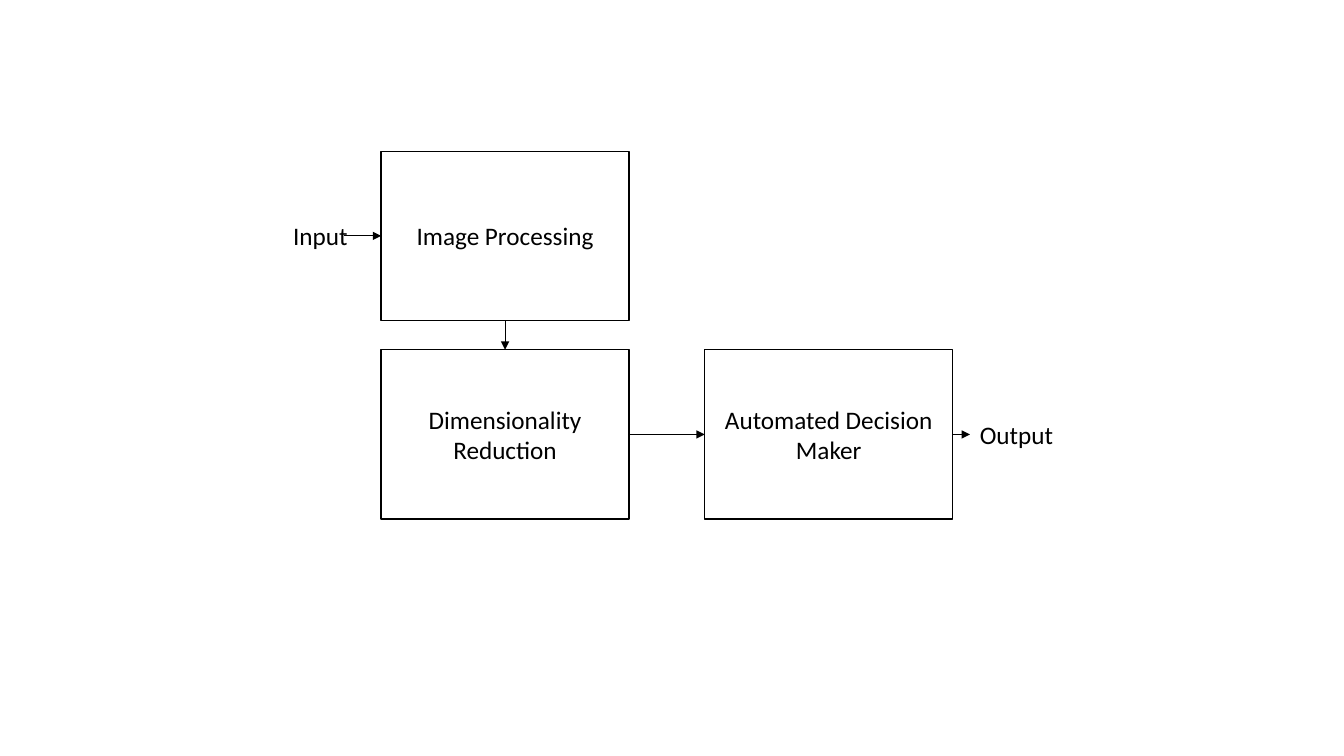
import pptx
import pptx.util
import pptx.dml.color
import pptx.enum.shapes
import pptx.enum.text
import pptx.oxml.ns
from lxml import etree

Inches = pptx.util.Inches
COLORS = {"ink": "000000", "paper": "FFFFFF"}
FONT = "Calibri"
BOX_WIDTH, BOX_HEIGHT = 2.46, 1.68
COLUMN_STEP, ROW_STEP = 3.21, 1.97


def color(name):
    """Return the named colour."""
    return pptx.dml.color.RGBColor.from_string(COLORS[name])


def write(shape, text, size=18, align="LEFT", anchor="TOP", ink="ink"):
    """Put formatted text in a shape."""
    frame = shape.text_frame
    frame.word_wrap = True
    frame.vertical_anchor = getattr(pptx.enum.text.MSO_ANCHOR, anchor)
    para = frame.paragraphs[0]
    para.alignment = getattr(pptx.enum.text.PP_ALIGN, align)
    span = para.add_run()
    span.text = text
    span.font.name = FONT
    span.font.size = pptx.util.Pt(size)
    span.font.color.rgb = color(ink)


def add_step(group, text, left, top):
    """Add an outlined box for one processing step."""
    box = group.shapes.add_shape(
        pptx.enum.shapes.MSO_SHAPE.RECTANGLE,
        Inches(left), Inches(top), Inches(BOX_WIDTH), Inches(BOX_HEIGHT))
    box.shadow.inherit = False
    box.fill.solid()
    box.fill.fore_color.rgb = color("paper")
    box.line.color.rgb = color("ink")
    box.line.width = pptx.util.Pt(1)
    write(box, text, align="CENTER", anchor="MIDDLE")


def add_label(group, text, left, top, width):
    """Add a free label for the input or output."""
    label = group.shapes.add_textbox(
        Inches(left), Inches(top), Inches(width), Inches(0.4))
    write(label, text)
    label.text_frame.auto_size = pptx.enum.text.MSO_AUTO_SIZE.SHAPE_TO_FIT_TEXT


def add_arrow(group, start, end):
    """Add a thin arrow from start to end."""
    arrow = group.shapes.add_connector(
        pptx.enum.shapes.MSO_CONNECTOR.STRAIGHT,
        *[Inches(value) for value in (*start, *end)])
    arrow.line.color.rgb = color("ink")
    arrow.line.width = pptx.util.Pt(0.5)
    line = arrow.line._get_or_add_ln()
    etree.SubElement(line, pptx.oxml.ns.qn("a:tailEnd"), type="triangle")
    etree.SubElement(arrow._element.spPr, pptx.oxml.ns.qn("a:effectLst"))


def add_pipeline(page, left, top):
    """Add the flow diagram, its first step at left and top."""
    group = page.shapes.add_group_shape()
    lower, second = top + ROW_STEP, left + COLUMN_STEP
    right, end = left + BOX_WIDTH, second + BOX_WIDTH
    upper_middle, lower_middle = top + BOX_HEIGHT / 2, lower + BOX_HEIGHT / 2
    center = left + BOX_WIDTH / 2

    add_step(group, "Dimensionality Reduction", left, lower)
    add_step(group, "Automated Decision Maker", second, lower)
    add_label(group, "Input", left - 0.97, upper_middle - 0.2, 1.2)
    add_label(group, "Output", end + 0.17, lower_middle - 0.2, 1.16)
    add_step(group, "Image Processing", left, top)

    add_arrow(group, (left - 0.37, upper_middle), (left, upper_middle))
    add_arrow(group, (center, top + BOX_HEIGHT), (center, lower))
    add_arrow(group, (right, lower_middle), (second, lower_middle))
    add_arrow(group, (end, lower_middle), (end + 0.17, lower_middle))


deck = pptx.Presentation()
deck.slide_width, deck.slide_height = Inches(13.33), Inches(7.5)
page = deck.slides.add_slide(deck.slide_layouts.get_by_name("Blank"))
add_pipeline(page, 3.78, 1.5)
deck.save("out.pptx")
